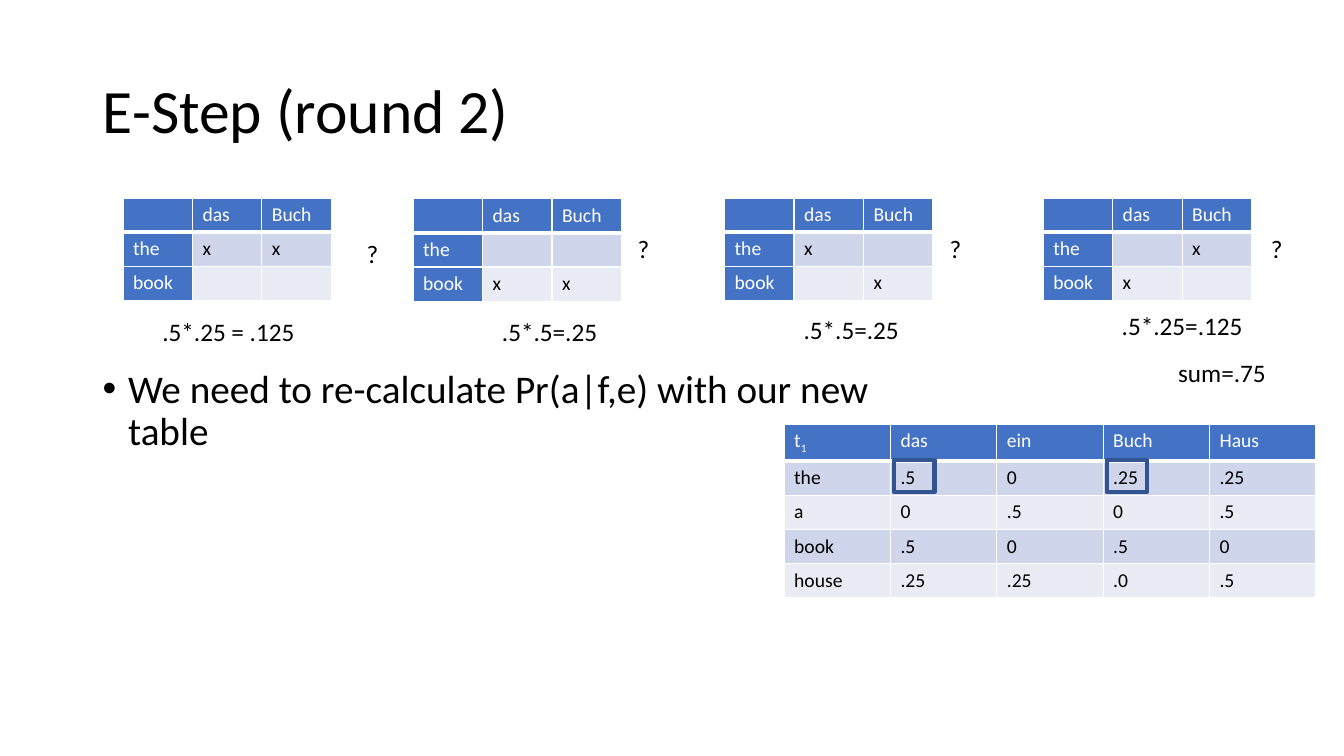
from lxml.etree import SubElement
from pptx import Presentation
from pptx.dml.color import RGBColor
from pptx.enum.shapes import MSO_SHAPE
from pptx.enum.text import MSO_ANCHOR, MSO_AUTO_SIZE, PP_ALIGN
from pptx.oxml.ns import qn
from pptx.util import Cm, Pt

COLORS = {
    "text": "000000",
    "white": "FFFFFF",
    "header": "4472C4",
    "odd": "CFD5EA",
    "even": "E9EBF5",
    "highlight": "325491",
}
FONT = "Calibri"
CELL_SIZE = 14

# Each alignment: table left, top; marked (row, column) cells;
# question mark left, top; score text, left, top, width (cm)
ALIGNMENTS = [
    ((3.1, 4.99), {(1, 1), (1, 2)}, (8.99, 5.89), (".5*.25 = .125", 3.84, 7.85, 3.89)),
    ((10.41, 5.01), {(2, 1), (2, 2)}, (15.82, 5.75), (".5*.5=.25", 12.4, 7.85, 2.95)),
    ((18.26, 4.99), {(1, 1), (2, 2)}, (23.68, 5.75), (".5*.5=.25", 20, 7.8, 2.95)),
    ((26.29, 4.99), {(1, 2), (2, 1)}, (31.78, 5.75), (".5*.25=.125", 28.02, 7.7, 3.58)),
]

# An underscore marks the start of a subscript
TRANSLATION = [
    ["t_1", "das", "ein", "Buch", "Haus"],
    ["the", ".5", "0", ".25", ".25"],
    ["a", "0", ".5", "0", ".5"],
    ["book", ".5", "0", ".5", "0"],
    ["house", ".25", ".25", ".0", ".5"],
]
TRANSLATION_LEFT = 19.76
TRANSLATION_COLUMN = 2.68


def rgb(name):
    return RGBColor.from_string(COLORS[name])


def add_run(paragraph, text, size, color="text"):
    run = paragraph.add_run()
    run.text = text
    run.font.name = FONT
    run.font.size = Pt(size)
    run.font.bold = False
    run.font.color.rgb = rgb(color)
    return run


def add_label(slide, text, left, top, width):
    label = slide.shapes.add_textbox(Cm(left), Cm(top), Cm(width), Cm(1.02))
    label.text_frame.word_wrap = False
    label.text_frame.auto_size = MSO_AUTO_SIZE.SHAPE_TO_FIT_TEXT
    add_run(label.text_frame.paragraphs[0], text, 18)


def set_borders(cell, row):
    properties = cell._tc.get_or_add_tcPr()
    widths = {"lnL": 1, "lnR": 1, "lnT": 1, "lnB": 3 if row == 0 else 1}
    for side, width in widths.items():
        line = SubElement(properties, qn(f"a:{side}"), w=str(Pt(width)))
        fill = SubElement(line, qn("a:solidFill"))
        SubElement(fill, qn("a:srgbClr"), val=COLORS["white"])


def fill_cell(cell, text, row, is_header):
    set_borders(cell, row)
    cell.fill.solid()
    cell.fill.fore_color.rgb = rgb("header" if is_header else "odd" if row % 2 else "even")
    paragraph = cell.text_frame.paragraphs[0]
    color = "white" if is_header else "text"
    base, _, subscript = text.partition("_")
    if base:
        add_run(paragraph, base, CELL_SIZE, color)
    else:
        # Keeps an empty cell as low as its row
        paragraph._p.get_or_add_endParaRPr().set("sz", str(CELL_SIZE * 100))
    if subscript:
        run = add_run(paragraph, subscript, CELL_SIZE, color)
        run.font._element.set("baseline", "-25000")


def add_word_table(slide, rows, left, top, column_width, row_heights, header_column):
    table = slide.shapes.add_table(
        len(rows), len(rows[0]), Cm(left), Cm(top),
        Cm(column_width * len(rows[0])), Cm(sum(row_heights)),
    ).table
    table.horz_banding = False
    for column in table.columns:
        column.width = Cm(column_width)
    for r, (words, height) in enumerate(zip(rows, row_heights)):
        table.rows[r].height = Cm(height)
        for c, word in enumerate(words):
            fill_cell(table.cell(r, c), word, r, r == 0 or (header_column and c == 0))


def add_alignment(slide, table_at, marked, question_at, score):
    rows = [["", "das", "Buch"]]
    for r, english in enumerate(["the", "book"], start=1):
        rows.append([english] + ["x" if (r, c) in marked else "" for c in (1, 2)])
    add_word_table(slide, rows, *table_at, 1.75, [0.86] * 3, header_column=True)
    add_label(slide, "?", *question_at, 0.81)
    add_label(slide, *score)


def add_highlight(slide, column):
    left = TRANSLATION_LEFT + column * TRANSLATION_COLUMN + 0.09
    frame = slide.shapes.add_shape(MSO_SHAPE.RECTANGLE, Cm(left), Cm(11.6), Cm(1.02), Cm(0.8))
    frame.shadow.inherit = False
    frame.fill.background()
    frame.line.color.rgb = rgb("highlight")
    frame.line.width = Pt(3)


def set_title(slide, text):
    title = slide.shapes.title
    title.left, title.top, title.width, title.height = Cm(2.34), Cm(1.02), Cm(29.21), Cm(3.68)
    title.text_frame.auto_size = MSO_AUTO_SIZE.NONE
    title.text_frame.vertical_anchor = MSO_ANCHOR.MIDDLE
    heading = title.text_frame.paragraphs[0]
    heading.alignment = PP_ALIGN.LEFT
    heading.line_spacing = 0.9
    add_run(heading, text, 44)


def add_bullet(slide, text):
    body = slide.shapes.add_textbox(Cm(2.34), Cm(9.19), Cm(20.78), Cm(8.41))
    body.text_frame.word_wrap = True
    point = body.text_frame.paragraphs[0]
    point.line_spacing = 0.9
    properties = point._p.get_or_add_pPr()
    properties.set("marL", str(Cm(0.64)))
    properties.set("indent", str(-Cm(0.64)))
    SubElement(properties, qn("a:buFont"), typeface="Arial")
    SubElement(properties, qn("a:buChar"), char="•")
    add_run(point, text, 28)


def main():
    presentation = Presentation()
    presentation.slide_width, presentation.slide_height = Cm(33.87), Cm(19.05)
    slide = presentation.slides.add_slide(presentation.slide_layouts[5])

    # Title and task
    set_title(slide, "E-Step (round 2)")
    add_bullet(slide, "We need to re-calculate Pr(a|f,e) with our new table")

    # Possible alignments with their scores
    for alignment in ALIGNMENTS:
        add_alignment(slide, *alignment)
    add_label(slide, "sum=.75", 29.44, 8.88, 2.74)

    # Translation probabilities, with the values in use framed
    add_word_table(slide, TRANSLATION, TRANSLATION_LEFT, 10.69, TRANSLATION_COLUMN,
                   [0.93] + [0.86] * 4, header_column=False)
    for column in (1, 3):
        add_highlight(slide, column)

    presentation.save("out.pptx")


if __name__ == "__main__":
    main()
